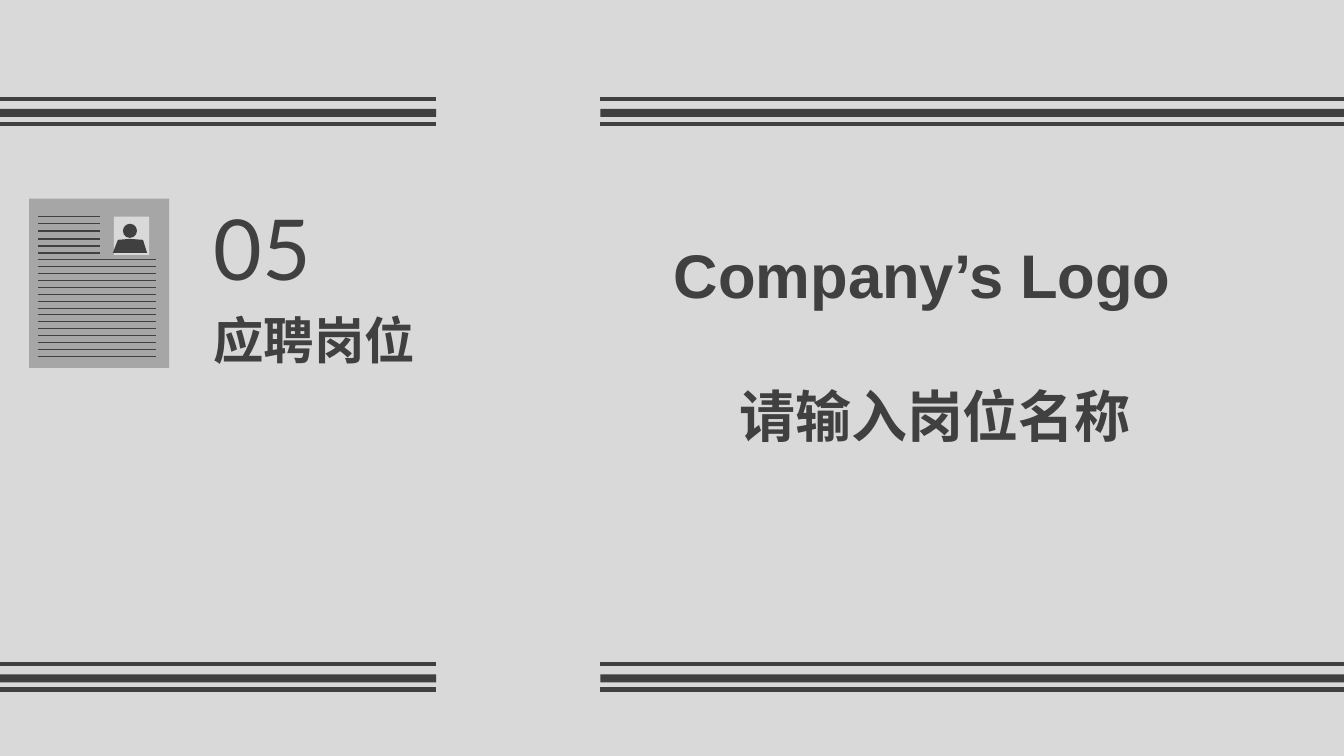
from dataclasses import dataclass

from lxml import etree
from pptx import Presentation
from pptx import util as u
from pptx.dml.color import RGBColor
from pptx.enum import shapes, text
from pptx.oxml import ns

PX = 9144


@dataclass(frozen=True)
class Theme:
    """Colours, fonts and type sizes of the slide."""
    back: str = "D9D9D9"
    ink: str = "404040"
    paper: str = "A6A6A6"
    shadow: str = "808080"
    latin: str = "Arial"
    number: str = "Lato"
    cjk: str = "Noto Sans CJK SC"
    number_size: int = 60
    label_size: int = 36
    company_size: int = 44
    position_size: int = 40


class Deck:
    """Holds the theme and the current slide, and draws in px."""

    def __init__(self, theme, width, height):
        """Open a blank slide of the given size."""
        self.theme = theme
        self.prs = Presentation()
        self.prs.slide_width, self.prs.slide_height = width * PX, height * PX
        self.s = self.prs.slides.add_slide(self.prs.slide_layouts[6])
        self.paint(self.s.background.fill, theme.back)

    def paint(self, fill, color):
        """Make a fill solid."""
        fill.solid()
        fill.fore_color.rgb = RGBColor.from_string(color)

    def finish(self, sp, color):
        """Give a shape a flat fill without line or shadow."""
        self.paint(sp.fill, color)
        sp.line.fill.background()
        sp.shadow.inherit = False

    def shape(self, kind, box, color):
        """Add a preset shape."""
        self.finish(self.s.shapes.add_shape(kind, *(v * PX for v in box)), color)

    def outline(self, points, color):
        """Add a closed polygon."""
        builder = self.s.shapes.build_freeform(*points[0], scale=PX)
        builder.add_line_segments(points[1:], close=True)
        self.finish(builder.convert_to_shape(), color)

    def rule(self, x1, x2, y, weight):
        """Add a horizontal line."""
        line = self.s.shapes.add_connector(
            shapes.MSO_CONNECTOR.STRAIGHT, x1 * PX, y * PX, x2 * PX, y * PX)
        line.line.width = u.Pt(weight)
        self.paint(line.line.fill, self.theme.ink)
        etree.SubElement(line._element.spPr, ns.qn("a:effectLst"))

    def label(self, words, box, font, size, bold=True):
        """Add a line of text; bold text carries a shadow."""
        sp = self.s.shapes.add_textbox(*(v * PX for v in box))
        tf = sp.text_frame
        frame = {"word_wrap": True, "vertical_anchor": text.MSO_ANCHOR.TOP}
        for name, value in frame.items():
            setattr(tf, name, value)
        p = tf.paragraphs[0]
        r = p.add_run()
        r.text = words
        for name, value in {"name": font, "size": u.Pt(size), "bold": bold}.items():
            setattr(r.font, name, value)
        self.paint(r.font.fill, self.theme.ink)
        latin = r._r.rPr.find(ns.qn("a:latin"))
        east = etree.Element(ns.qn("a:ea"), typeface=font)
        latin.addnext(east)
        if bold:
            effects = etree.Element(ns.qn("a:effectLst"))
            shadow = etree.SubElement(effects, ns.qn("a:outerShdw"),
                                      dist="38100", dir="2700000")
            etree.SubElement(shadow, ns.qn("a:srgbClr"), val=self.theme.shadow)
            latin.addprevious(effects)

    def band(self, x1, x2, top):
        """Add a thick bar between two thin rules."""
        self.rule(x1, x2, top, 3)
        self.shape(shapes.MSO_SHAPE.RECTANGLE, (x1, top + 10, x2 - x1, 8), self.theme.ink)
        self.rule(x1, x2, top + 25, 3)

    def text_lines(self, x1, x2, top, bottom, count, weight):
        """Add evenly spaced rules from top to bottom."""
        for i in range(count):
            self.rule(x1, x2, round(top + i * (bottom - top) / (count - 1)), weight)

    def resume_icon(self):
        """Add the resume sheet with its portrait and lines."""
        t, kinds = self.theme, shapes.MSO_SHAPE
        self.shape(kinds.RECTANGLE, (29, 197, 139, 168), t.paper)
        self.shape(kinds.RECTANGLE, (113, 215, 35, 38), t.back)
        self.outline([(112, 251), (117, 238), (129, 237), (142, 238), (146, 251)], t.ink)
        self.shape(kinds.OVAL, (122, 222, 14, 14), t.ink)
        self.text_lines(38, 99, 215, 251, 6, 1)
        self.text_lines(38, 155, 257, 354, 15, 0.75)


def main():
    """Build and save the slide."""
    t = Theme()
    deck = Deck(t, 1334, 750)
    for top in (98, 659):
        for x1, x2 in ((0, 433), (596, 1334)):
            deck.band(x1, x2, top)
    deck.resume_icon()
    deck.label("05", (202, 190, 156, 110), t.number, t.number_size, bold=False)
    deck.label("应聘岗位", (202, 302, 231, 70), t.cjk, t.label_size)
    deck.label("请输入岗位名称", (724, 374, 445, 77), t.cjk, t.position_size)
    deck.label("Company’s Logo", (659, 230, 575, 84), t.latin, t.company_size)
    deck.prs.save("out.pptx")


if __name__ == "__main__":
    main()
